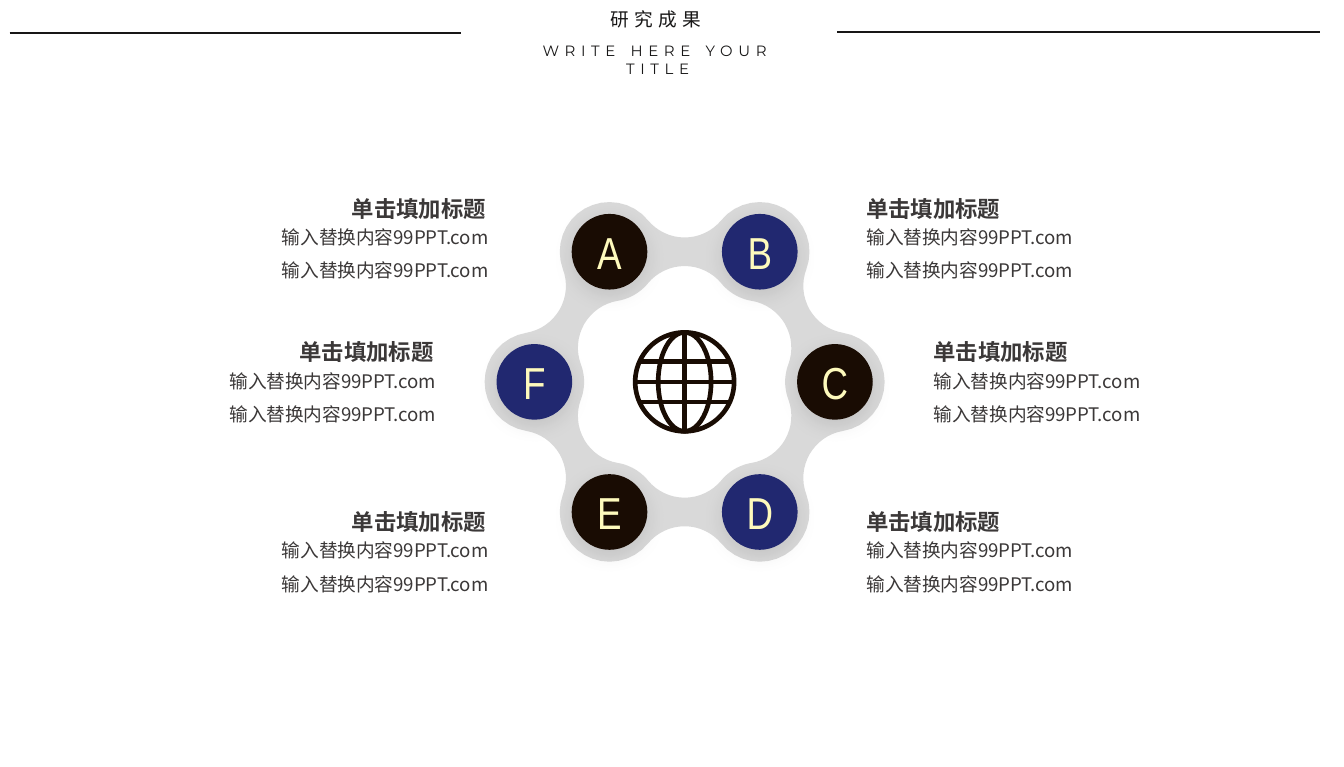
from math import atan2, cos, degrees, hypot, radians, sin

from lxml import etree
from pptx import Presentation
from pptx.dml.color import RGBColor
from pptx.enum import shapes as sh, text as tx
from pptx.oxml import parse_xml
from pptx.oxml.ns import qn
from pptx.util import Cm, Pt

HEAD, SUB = "研究成果", "WRITE HERE YOUR TITLE"
NAME = "单击填加标题"
BODY = ["输入替换内容99PPT.com"] * 2
LABELS = "ABCDEF"
RULES = [(0.18, 8.71, 0.63), (15.82, 24.94, 0.61)]
ROWS = [4.14, 6.86, 10.06]
# left edges of the three notes, and the indent of their headings
SIDES = [((4.55, 3.56, 4.55), 1.63), ((15.6, 16.87, 15.6), 0.3)]
HEX = {"ink": "181717", "dark": "190C03", "blue": "212870",
       "ring": "D9D9D9", "cream": "FEFABC", "gray": "3B3838"}
CJK, LATIN, NARROW = "Noto Sans CJK SC", "Montserrat", "Arial Narrow"
A = "http://schemas.openxmlformats.org/drawingml/2006/main"

MID = (12.94, 7.22)
DIST, NODE, NECK, DISC = 2.84, 0.94, 0.27, 1.43
GLOBE, BAND, STROKE = 1.87, 0.38, 2.5

deck = Presentation()
deck.slide_width, deck.slide_height = Cm(25.4), Cm(14.5)
slide = deck.slides.add_slide(deck.slide_layouts[5])


def tint(name):
    return RGBColor.from_string(HEX[name])


def write(shape, lines, size, font, color, bold=False, gap=0, lead=None,
          track=0, align=tx.PP_ALIGN.CENTER, anchor=tx.MSO_ANCHOR.TOP,
          wrap=True, inset=None):
    frame = shape.text_frame
    frame.word_wrap, frame.vertical_anchor = wrap, anchor
    frame.auto_size = tx.MSO_AUTO_SIZE.NONE
    if inset is not None:
        frame.margin_left = frame.margin_right = Cm(inset)
        frame.margin_top = frame.margin_bottom = Cm(inset)
    for i, line in enumerate(lines):
        para = frame.add_paragraph() if i else frame.paragraphs[0]
        para.alignment, para.line_spacing = align, lead
        para.space_before = Pt(gap if i else 0)
        run = para.add_run()
        run.text = line
        run.font.size, run.font.name, run.font.bold = Pt(size), font, bold
        run.font.color.rgb = tint(color)
        props = run.font._element
        if track:
            props.set("spc", str(track * 100))
        east = etree.Element(qn("a:ea"), typeface=font)
        props.find(qn("a:latin")).addnext(east)


def box(x, y, w, h):
    return slide.shapes.add_textbox(Cm(x), Cm(y), Cm(w), Cm(h))


def rule(x1, y1, x2, y2, color, width):
    line = slide.shapes.add_connector(
        sh.MSO_CONNECTOR.STRAIGHT, Cm(x1), Cm(y1), Cm(x2), Cm(y2))
    line.line.color.rgb, line.line.width = tint(color), Pt(width)
    etree.SubElement(line._element.spPr, qn("a:effectLst"))


def oval(x, y, w, h):
    """Add an ellipse centred on x, y."""
    shape = slide.shapes.add_shape(
        sh.MSO_SHAPE.OVAL, Cm(x - w / 2), Cm(y - h / 2), Cm(w), Cm(h))
    shape.shadow.inherit = False
    return shape


def polar(hub, dist, deg):
    return (hub[0] + dist * cos(radians(deg)),
            hub[1] + dist * sin(radians(deg)))


def arc(hub, size, start, end, steps=16):
    return [polar(hub, size, start + (end - start) * i / steps)
            for i in range(steps + 1)]


def edge(side):
    """Outline of the ring, outer (1) or inner (-1): node arcs and fillets."""
    half, flat = DIST / 2, DIST * cos(radians(30))
    # fillet radius that touches both nodes and leaves the neck
    bend = (half**2 + NECK**2 - NODE**2) / (2 * (NODE - NECK))
    rise = NECK + bend
    turn = degrees(atan2(half, rise))
    span = 30 + turn if side > 0 else turn - 30
    points = []
    for deg in range(0, 360, 60):
        face = deg if side > 0 else deg + 180
        points += arc(polar(MID, DIST, deg), NODE,
                      face - side * span, face + side * span)
        face = deg + (210 if side > 0 else 30)
        points += arc(polar(MID, flat + side * rise, deg + 30), bend,
                      face + side * turn, face - side * turn)
    return [(Cm(x), Cm(y)) for x, y in points]


def draw_ring():
    outer, inner = edge(1), edge(-1)
    path = slide.shapes.build_freeform(*outer[0])
    path.add_line_segments(outer[1:])
    path.move_to(*inner[0])
    path.add_line_segments(inner[1:])
    ring = path.convert_to_shape()
    ring.shadow.inherit = False
    ring.fill.solid()
    ring.fill.fore_color.rgb = tint("ring")
    ring.line.fill.background()


def draw_discs():
    for i, label in enumerate(LABELS):
        disc = oval(*polar(MID, DIST, 240 + 60 * i), DISC, DISC)
        disc.fill.solid()
        disc.fill.fore_color.rgb = tint("blue" if i % 2 else "dark")
        disc.line.fill.background()
        disc._element.spPr.find(qn("a:effectLst")).append(parse_xml(
            f'<a:outerShdw xmlns:a="{A}" blurRad="{Pt(11)}" dist="{Pt(3)}" '
            'dir="5400000" rotWithShape="0"><a:srgbClr val="000000">'
            '<a:alpha val="10000"/></a:srgbClr></a:outerShdw>'))
        write(disc, [label], 24, NARROW, "cream",
              anchor=tx.MSO_ANCHOR.MIDDLE)


def draw_globe():
    x, y = MID
    for width in (GLOBE, 1.0):
        ball = oval(x, y, width, GLOBE)
        ball.fill.background()
        ball.line.color.rgb, ball.line.width = tint("dark"), Pt(STROKE)
    half = GLOBE / 2
    rule(x, y - half, x, y + half, "dark", STROKE)
    for off in (-BAND, 0, BAND):
        reach = (half**2 - off**2) ** 0.5
        rule(x - reach, y + off, x + reach, y + off, "dark", STROKE)


for left, right, y in RULES:
    rule(left, y, right, y, "ink", 1)
title = slide.shapes.title
title.left, title.top, title.width, title.height = map(
    Cm, (11.28, 0.03, 2.36, 0.69))
write(title, [HEAD], 10, CJK, "ink", track=3, wrap=False,
      align=tx.PP_ALIGN.LEFT)
write(box(9.93, 0.66, 5, 0.94), [SUB], 8, LATIN, "ink", track=3)
draw_ring()
draw_discs()
draw_globe()
for lefts, shift in SIDES:
    for x, y in zip(lefts, ROWS):
        write(box(x, y, 5.46, 1.32), BODY, 10, CJK, "gray", gap=6)
        write(box(x + shift, y - 0.56, 3.48, 0.58), [NAME], 12, CJK, "gray",
              bold=True, lead=1.2, inset=0)
deck.save("out.pptx")
